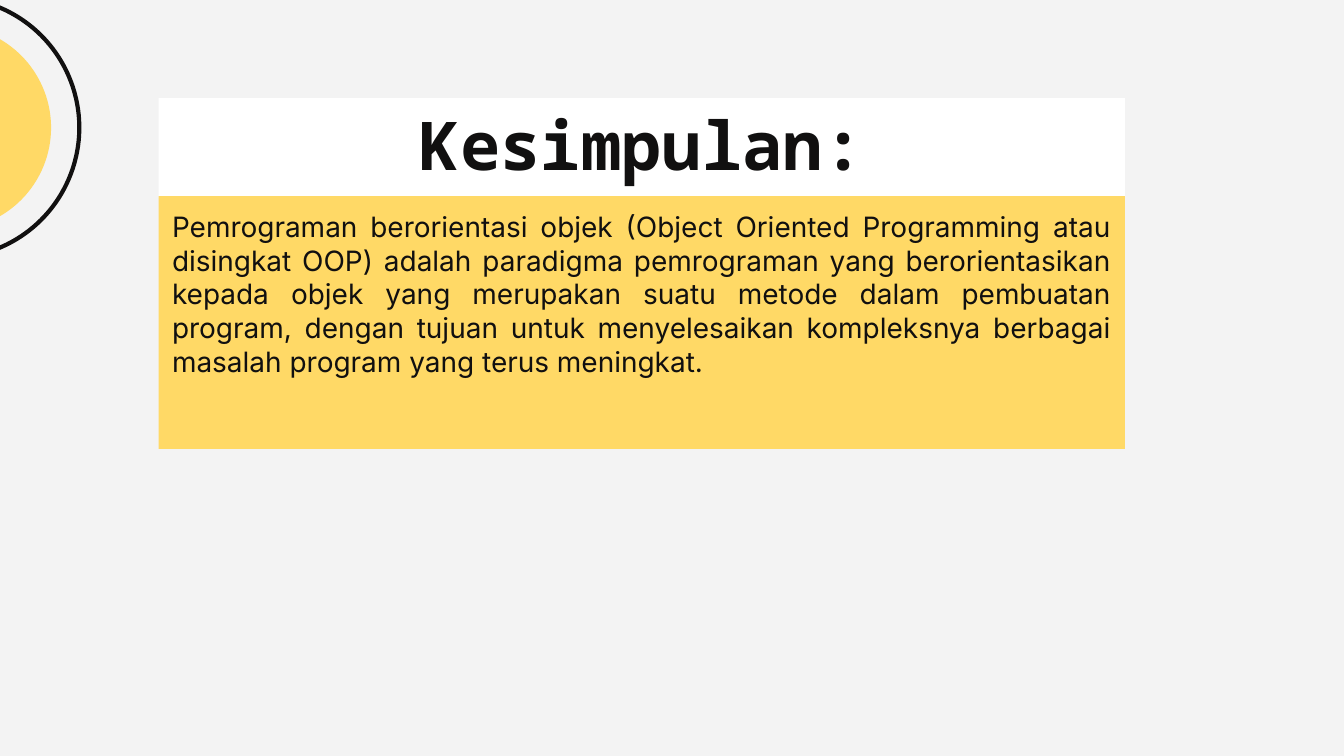
from dataclasses import dataclass

from pptx import Presentation
from pptx.dml.color import RGBColor
from pptx.enum.shapes import MSO_SHAPE as Shape
from pptx.enum.text import MSO_ANCHOR as Anchor, MSO_AUTO_SIZE as AutoSize, PP_ALIGN as Align
from pptx.util import Inches, Pt


@dataclass(frozen=True)
class Theme:
    background: RGBColor = RGBColor(0xF3, 0xF3, 0xF3)
    paper: RGBColor = RGBColor(0xFF, 0xFF, 0xFF)
    accent: RGBColor = RGBColor(0xFF, 0xD9, 0x66)
    ink: RGBColor = RGBColor(0x11, 0x10, 0x10)
    title_font: str = "Noto Sans Mono"
    body_font: str = "Inter"
    title_size: float = 36
    body_size: float = 15
    ring_width: float = 2.25


class SlideBuilder:
    def __init__(self, slide, theme):
        self.slide = slide
        self.theme = theme

    def paint_background(self):
        fill = self.slide.background.fill
        fill.solid()
        fill.fore_color.rgb = self.theme.background

    def fill_placeholder(self, box, text, bounds, fill, font, size, align, anchor, bold=False):
        """Move a placeholder to bounds and give it a panel colour and one styled paragraph."""
        box.left, box.top, box.width, box.height = (Inches(value) for value in bounds)
        box.fill.solid()
        box.fill.fore_color.rgb = fill
        frame = box.text_frame
        frame.text = text
        frame.word_wrap = True
        frame.auto_size = AutoSize.NONE
        frame.vertical_anchor = anchor
        frame.margin_left = frame.margin_right = Inches(0.1)
        frame.margin_top = frame.margin_bottom = Inches(0.1)
        para = frame.paragraphs[0]
        para.alignment = align
        para.line_spacing = 1.0
        para.space_before = para.space_after = Pt(0)
        span = para.runs[0]
        span.font.name = font
        span.font.size = Pt(size)
        span.font.bold = bold
        span.font.color.rgb = self.theme.ink

    def title(self, text, bounds):
        self.fill_placeholder(self.slide.shapes.title, text, bounds, self.theme.paper,
                              self.theme.title_font, self.theme.title_size,
                              Align.CENTER, Anchor.BOTTOM, bold=True)

    def body(self, text, bounds):
        self.fill_placeholder(self.slide.placeholders[1], text, bounds, self.theme.accent,
                              self.theme.body_font, self.theme.body_size,
                              Align.JUSTIFY, Anchor.TOP)

    def circle(self, group, center_x, center_y, diameter):
        radius = diameter / 2
        circle = group.shapes.add_shape(Shape.OVAL, Inches(center_x - radius),
                                        Inches(center_y - radius),
                                        Inches(diameter), Inches(diameter))
        circle.shadow.inherit = False
        return circle

    def ringed_disc(self, center_x, center_y, ring_diameter, disc_diameter):
        group = self.slide.shapes.add_group_shape()
        ring = self.circle(group, center_x, center_y, ring_diameter)
        ring.fill.background()
        ring.line.color.rgb = self.theme.ink
        ring.line.width = Pt(self.theme.ring_width)
        disc = self.circle(group, center_x, center_y, disc_diameter)
        disc.fill.solid()
        disc.fill.fore_color.rgb = self.theme.accent
        disc.line.fill.background()


def main():
    deck = Presentation()
    deck.slide_width = Inches(10)
    deck.slide_height = deck.slide_width * 9 // 16
    builder = SlideBuilder(deck.slides.add_slide(deck.slide_layouts[0]), Theme())

    left, width = 1.18, 7.19
    builder.paint_background()
    builder.title("Kesimpulan:", (left, 0.73, width, 0.74))
    builder.body(
        "Pemrograman berorientasi objek (Object Oriented Programming atau disingkat OOP) "
        "adalah paradigma pemrograman yang berorientasikan kepada objek yang merupakan "
        "suatu metode dalam pembuatan program, dengan tujuan untuk menyelesaikan "
        "kompleksnya berbagai masalah program yang terus meningkat.",
        (left, 1.46, width, 1.88),
    )
    builder.ringed_disc(-0.38, 0.95, ring_diameter=1.94, disc_diameter=1.52)

    deck.save("out.pptx")


if __name__ == "__main__":
    main()
